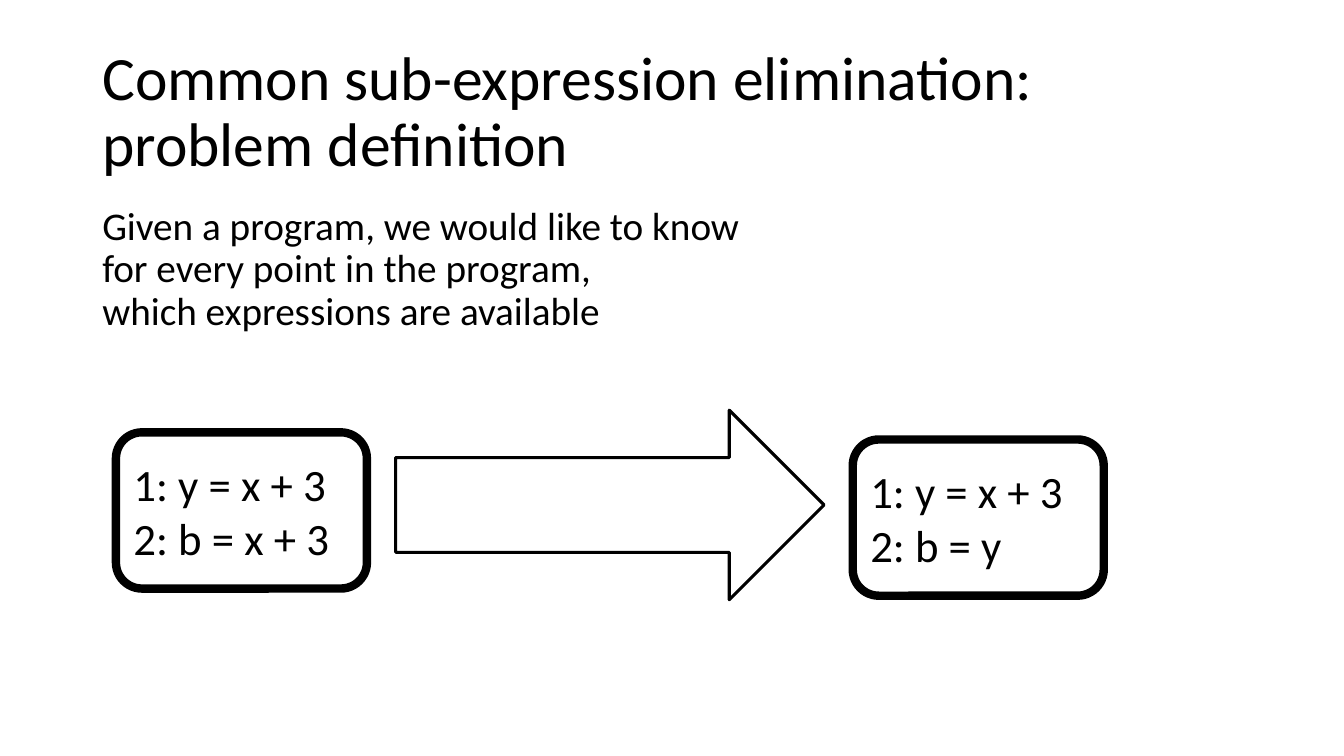
from dataclasses import dataclass

from pptx import Presentation
from pptx.dml.color import RGBColor
from pptx.enum.shapes import MSO_SHAPE as Shape
from pptx.enum.text import MSO_ANCHOR as Anchor, PP_ALIGN as Align
from pptx.util import Pt


@dataclass(frozen=True)
class Theme:
    """Colours, font, type sizes and line widths of the slide."""
    ink: RGBColor = RGBColor(0, 0, 0)
    font: str = "Calibri"
    title: int = 44
    body: int = 28
    code: int = 32
    frame: float = 6
    outline: float = 2.25


THEME = Theme()


def write(sp, lines, size, anchor=Anchor.TOP, spacing=1.0, before=0):
    """Fill a shape with one left-aligned paragraph per item of lines."""
    tf = sp.text_frame
    tf.word_wrap = True
    tf.vertical_anchor = anchor
    for i, line in enumerate(lines):
        p = tf.add_paragraph() if i else tf.paragraphs[0]
        p.text = line
        p.alignment = Align.LEFT
        p.line_spacing = spacing
        p.space_before = Pt(before)
        for r in p.runs:
            r.font.name = THEME.font
            r.font.size = Pt(size)
            r.font.color.rgb = THEME.ink


def add_text(s, box, text, size, **fmt):
    """Add a text box at box (left, top, width, height)."""
    sp = s.shapes.add_textbox(*map(Pt, box))
    write(sp, [text], size, **fmt)


def add_outline(s, kind, box, width):
    """Add an unfilled preset shape with a line of the given width."""
    sp = s.shapes.add_shape(kind, *map(Pt, box))
    sp.shadow.inherit = False
    sp.fill.background()
    sp.line.color.rgb = THEME.ink
    sp.line.width = Pt(width)
    return sp


def add_heading(s, box):
    """Place the title at the top of box and the problem statement below."""
    x, y, w, h = box
    title_h = 104.4
    body_y = 115.2
    add_text(s, (x, y, w, title_h),
             "Common sub-expression elimination: problem definition",
             THEME.title, anchor=Anchor.MIDDLE, spacing=0.9)
    add_text(s, (x, y + body_y, w, h - body_y),
             "Given a program, we would like to know\v"
             "for every point in the program,\v"
             "which expressions are available",
             THEME.body, spacing=0.9, before=10)


def add_rewrite(s, box):
    """Place the code before, an arrow, and the code after across box."""
    x, y, w, h = box
    code_w, code_h, arrow_w = 179.3, 111.6, 306
    programs = [
        (x, y + 15.8, ["1: y = x + 3", "2: b = x + 3"]),
        (x + w - code_w, y + 20.9, ["1: y = x + 3", "2: b = y"]),
    ]
    for left, top, lines in programs:
        sp = add_outline(s, Shape.ROUNDED_RECTANGLE,
                         (left, top, code_w, code_h), THEME.frame)
        write(sp, lines, THEME.code, anchor=Anchor.MIDDLE)
    arrow_x = x + (w - arrow_w) / 2
    add_outline(s, Shape.RIGHT_ARROW, (arrow_x, y, arrow_w, h), THEME.outline)


def main():
    """Build the slide and save it."""
    prs = Presentation()
    prs.slide_width, prs.slide_height = Pt(960), Pt(540)
    s = prs.slides.add_slide(prs.slide_layouts[6])
    add_heading(s, (66, 28.8, 828, 221.8))
    add_rewrite(s, (82.8, 293, 705.6, 135.4))
    prs.save("out.pptx")


main()
